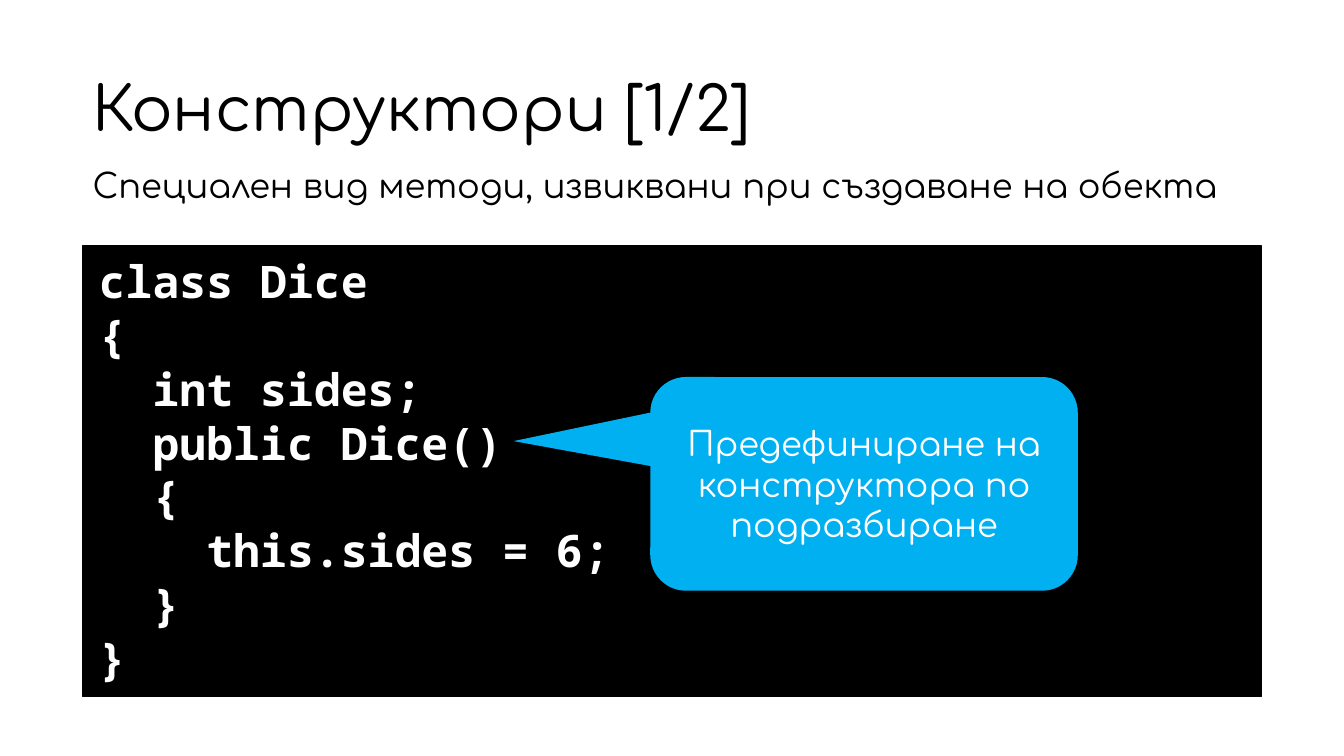
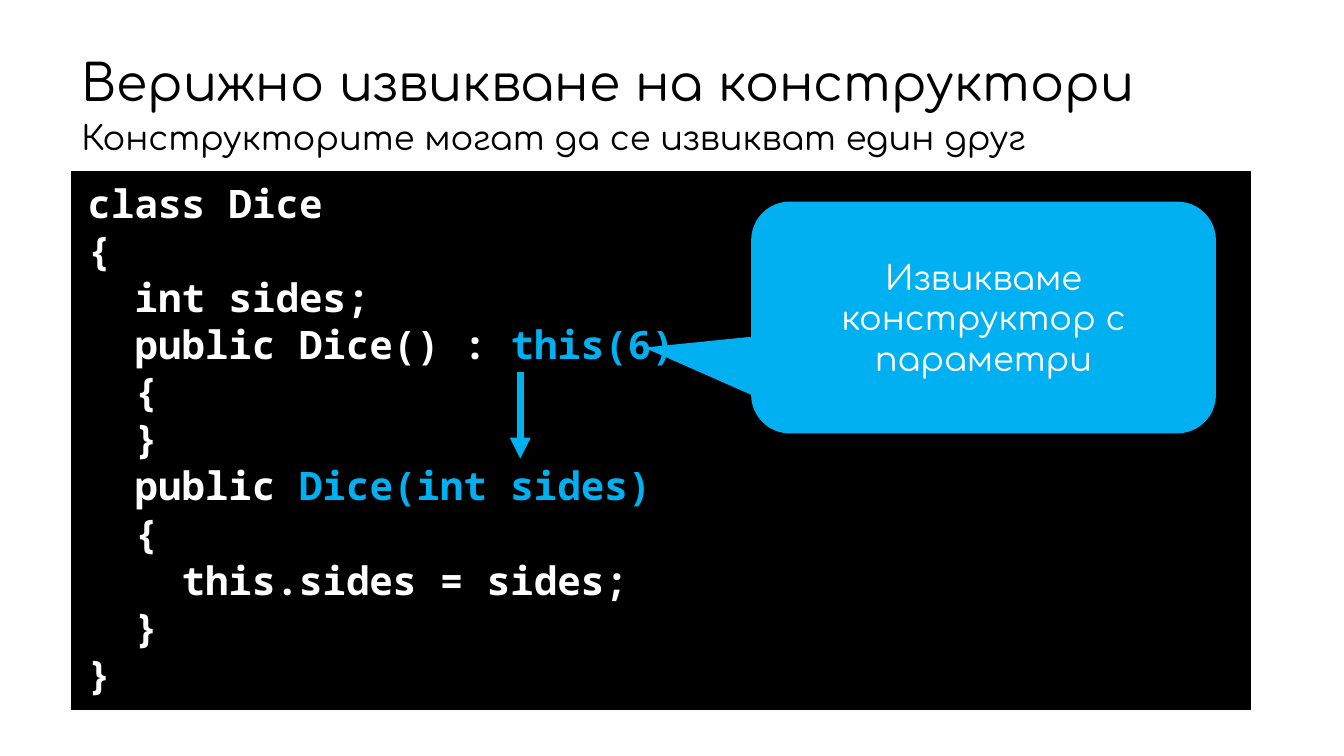
from lxml import etree
from pptx import Presentation, util as u
from pptx.dml.color import RGBColor
from pptx.enum import shapes, text
from pptx.oxml.ns import qn

BLACK, WHITE, ACCENT = "000000", "FFFFFF", "00B0F0"
PROSE_FONT, CODE_FONT = "Comfortaa", "Noto Sans Mono"
TOP, MIDDLE = text.MSO_ANCHOR.TOP, text.MSO_ANCHOR.MIDDLE
LEFT, CENTER = text.PP_ALIGN.LEFT, text.PP_ALIGN.CENTER


def rgb(color):
    """Turn a hex string into a colour."""
    return RGBColor.from_string(color)


def write(box, lines, size, color, font=PROSE_FONT, anchor=MIDDLE, align=LEFT):
    """Fill a box with lines; the part of a line after "|" is in the accent colour."""
    frame = box.text_frame
    frame.word_wrap = True
    frame.vertical_anchor = anchor
    for number, line in enumerate(lines):
        para = frame.paragraphs[0] if number == 0 else frame.add_paragraph()
        para.alignment = align
        para.font.name = font
        para.font.size = u.Pt(size)
        para.font.bold = font == CODE_FONT
        para.font.color.rgb = rgb(color)
        for part, words in enumerate(line.split("|")):
            span = para.add_run()
            span.text = words
            if part:
                span.font.color.rgb = rgb(ACCENT)
    return frame


lessons = [
    {
        "title": "Конструктори [1/2]", "title_size": 44,
        "title_at": (0.82, 0.38, 11.5, 1.45),
        "lead": "Специален вид методи, извиквани при създаване на обекта",
        "lead_at": (0.82, 1.63, 11.5, 0.54),
        "code": """class Dice
{
  int sides;
  public Dice()
  {
    this.sides = 6;
  }
}""",
        "code_size": 32, "code_at": (0.82, 2.44, 11.69, 4.47),
        "callout": "Предефиниране на конструктора по подразбиране",
        "callout_at": (6.45, 3.74, 4.24, 2.12), "pointer": (-0.82, -0.2),
    },
    {
        "title": "Верижно извикване на конструктори", "title_size": 36,
        "title_at": (0.71, 0.4, 11.5, 0.9),
        "lead": "Конструкторите могат да се извикват един друг",
        "lead_at": (0.71, 1.16, 11.69, 0.54),
        "code": """class Dice
{
  int sides;
  public Dice() : |this(6)
  {
  }
  public |Dice(int sides)
  {
    this.sides = sides;
  }
}""",
        "code_size": 28, "code_at": (0.71, 1.7, 11.69, 5.34),
        "callout": "Извикваме конструктор с параметри",
        "callout_at": (7.45, 2, 4.61, 2.3), "pointer": (-0.73, 0.13),
    },
]

deck = Presentation()
deck.slide_width, deck.slide_height = u.Inches(13.33), u.Inches(7.5)

for lesson in lessons:
    page = deck.slides.add_slide(deck.slide_layouts[6])

    lead = page.shapes.add_textbox(*map(u.Inches, lesson["lead_at"]))
    frame = write(lead, [lesson["lead"]], 24, BLACK, anchor=TOP)
    frame.paragraphs[0].line_spacing = 0.9
    frame.paragraphs[0].space_before = u.Pt(10)

    title = page.shapes.add_textbox(*map(u.Inches, lesson["title_at"]))
    frame = write(title, [lesson["title"]], lesson["title_size"], BLACK)
    frame.paragraphs[0].line_spacing = 0.9

    panel = page.shapes.add_shape(
        shapes.MSO_SHAPE.RECTANGLE, *map(u.Inches, lesson["code_at"]))
    panel.shadow.inherit = False
    panel.fill.solid()
    panel.fill.fore_color.rgb = rgb(BLACK)
    panel.line.color.rgb = rgb(BLACK)
    panel.line.width = u.Pt(1)
    frame = write(panel, lesson["code"].splitlines(), lesson["code_size"],
                  WHITE, CODE_FONT, TOP)
    frame.margin_left = frame.margin_right = u.Inches(0.16)
    frame.margin_top = frame.margin_bottom = u.Inches(0.08)
    frame.auto_size = text.MSO_AUTO_SIZE.SHAPE_TO_FIT_TEXT

    callout = page.shapes.add_shape(
        shapes.MSO_SHAPE.ROUNDED_RECTANGULAR_CALLOUT,
        *map(u.Inches, lesson["callout_at"]))
    callout.shadow.inherit = False
    callout.adjustments[0], callout.adjustments[1] = lesson["pointer"]
    callout.fill.solid()
    callout.fill.fore_color.rgb = rgb(ACCENT)
    callout.line.fill.background()
    write(callout, [lesson["callout"]], 24, WHITE, align=CENTER)

# Arrow from the chained call to the constructor it reaches, on the last page
arrow = page.shapes.add_connector(
    shapes.MSO_CONNECTOR.STRAIGHT,
    u.Inches(5.16), u.Inches(3.69), u.Inches(5.16), u.Inches(4.55))
arrow.line.color.rgb = rgb(ACCENT)
arrow.line.width = u.Pt(5)
etree.SubElement(arrow.line._get_or_add_ln(), qn("a:tailEnd"), type="triangle")
etree.SubElement(arrow._element.spPr, qn("a:effectLst"))

deck.save("out.pptx")
